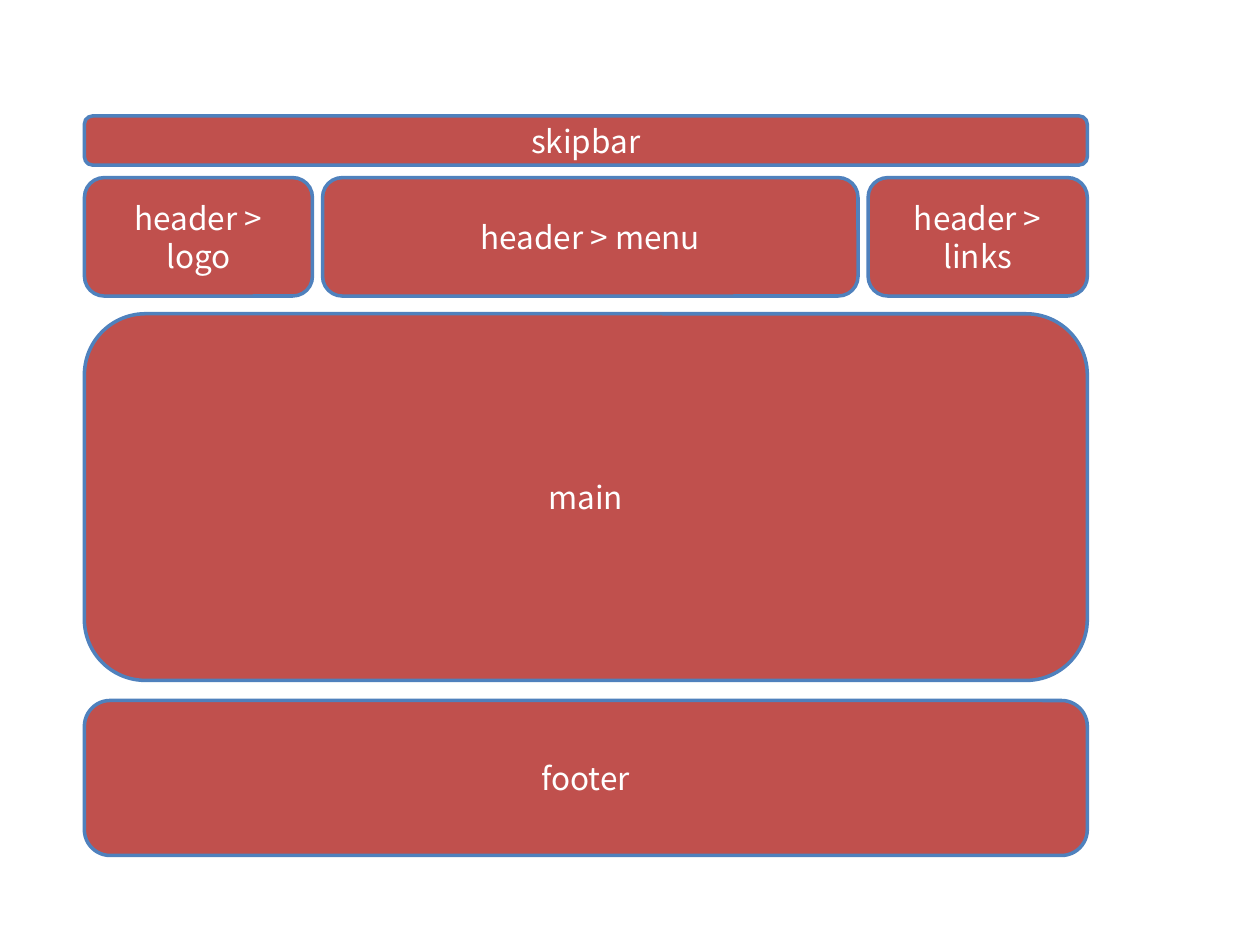
from pptx import Presentation
from pptx.dml.color import RGBColor
from pptx.enum.shapes import MSO_SHAPE
from pptx.enum.text import MSO_ANCHOR, PP_ALIGN
from pptx.util import Inches, Pt

ROUNDED = MSO_SHAPE.ROUNDED_RECTANGLE
MIDDLE = MSO_ANCHOR.MIDDLE
CENTER = PP_ALIGN.CENTER

FONT = "Noto Sans CJK KR"
FILL, OUTLINE, TEXT = "C0504D", "4F81BD", "FFFFFF"

LEFT, WIDTH = 0.67, 7.96
COLUMN_GAP = 0.08

# Rows of the page layout: top, height, cells (label, width)
ROWS = [
    (0.92, 0.39, [("skipbar", WIDTH)]),
    (1.41, 0.94, [("header > logo", 1.81),
                  ("header > menu", 4.25),
                  ("header > links", 1.74)]),
    (2.49, 2.91, [("main", WIDTH)]),
    (5.56, 1.23, [("footer", WIDTH)]),
]


def color(value):
    return RGBColor.from_string(value)


def add_region(page, label, left, top, width, height):
    box = page.shapes.add_shape(ROUNDED, Inches(left), Inches(top),
                                Inches(width), Inches(height))
    box.shadow.inherit = False
    box.fill.solid()
    box.fill.fore_color.rgb = color(FILL)
    box.line.color.rgb = color(OUTLINE)
    box.line.width = Pt(2)

    # Centred label
    frame = box.text_frame
    frame.word_wrap = True
    frame.vertical_anchor = MIDDLE
    para = frame.paragraphs[0]
    para.text = label
    para.alignment = CENTER
    para.font.name = FONT
    para.font.size = Pt(18)
    para.font.color.rgb = color(TEXT)


def add_row(page, top, height, cells):
    left = LEFT
    for label, width in cells:
        add_region(page, label, left, top, width, height)
        left += width + COLUMN_GAP


def main():
    deck = Presentation()
    deck.slide_width, deck.slide_height = Inches(10), Inches(7.5)
    page = deck.slides.add_slide(deck.slide_layouts[6])
    for top, height, cells in ROWS:
        add_row(page, top, height, cells)
    deck.save("out.pptx")


if __name__ == "__main__":
    main()
